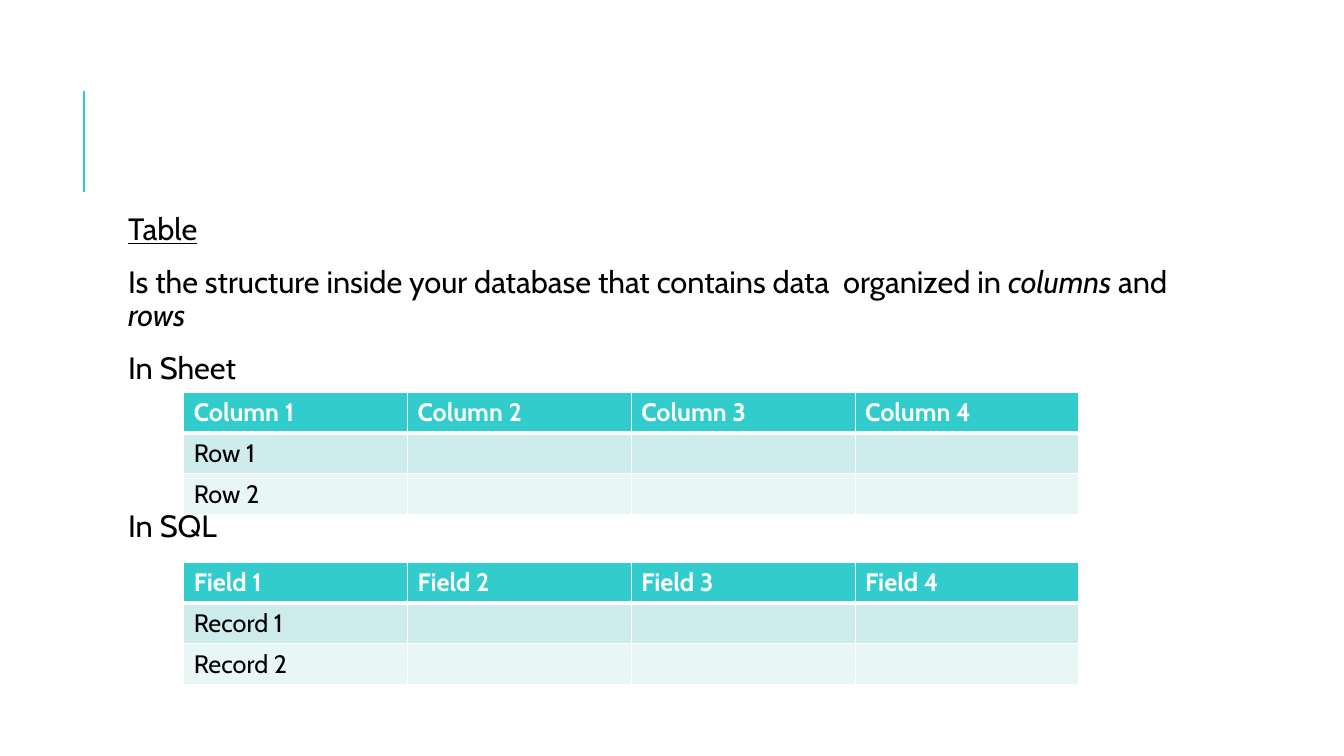
from lxml import etree
from pptx import Presentation
from pptx.dml.color import RGBColor
from pptx.enum.shapes import MSO_CONNECTOR
from pptx.enum.text import MSO_ANCHOR
from pptx.oxml.ns import qn
from pptx.util import Cm, Pt

STRAIGHT = MSO_CONNECTOR.STRAIGHT
TOP = MSO_ANCHOR.TOP

TEAL = RGBColor(0x33, 0xCC, 0xCC)
BAND_DARK = RGBColor(0xCE, 0xEC, 0xEC)
BAND_LIGHT = RGBColor(0xE8, 0xF6, 0xF6)
WHITE = RGBColor(0xFF, 0xFF, 0xFF)
BLACK = RGBColor(0, 0, 0)

# Each paragraph: space before in points, then runs of text with their format
BODY = [
    (12, [("Table", {"underline": True})]),
    (12, [("Is the structure inside your database that contains data  organized in ", {}),
          ("columns", {"italic": True}),
          (" and ", {}),
          ("rows", {"italic": True})]),
    (12, [("In Sheet", {})]),
    (87, [("In SQL", {})]),
]

# Each table: top in cm, column noun, row noun
TABLES = [(9.88, "Column", "Row"), (14.16, "Field", "Record")]


class SlideBuilder:
    font = "Cabin"
    body_size = Pt(22)
    cell_size = Pt(18)
    col_width = Cm(5.64)
    row_height = Cm(1.03)

    def __init__(self, s):
        self.s = s

    def line(self, x1, y1, x2, y2):
        c = self.s.shapes.add_connector(STRAIGHT, Cm(x1), Cm(y1), Cm(x2), Cm(y2))
        c.line.color.rgb = TEAL
        c.line.width = Pt(1.5)
        etree.SubElement(c._element.spPr, qn("a:effectLst"))

    def run(self, p, text, color, **fmt):
        r = p.add_run()
        r.text = text
        r.font.color.rgb = color
        for name, value in {"name": self.font, **fmt}.items():
            setattr(r.font, name, value)

    def text(self, x, y, w, h, paragraphs):
        tf = self.s.shapes.add_textbox(Cm(x), Cm(y), Cm(w), Cm(h)).text_frame
        frame = {"word_wrap": True, "vertical_anchor": TOP,
                 "margin_left": Cm(0.38), "margin_right": Cm(0.13),
                 "margin_top": Cm(0.13), "margin_bottom": Cm(0.13)}
        for name, value in frame.items():
            setattr(tf, name, value)
        for i, (before, runs) in enumerate(paragraphs):
            p = tf.add_paragraph() if i else tf.paragraphs[0]
            spacing = {"line_spacing": 0.9, "space_before": Pt(before), "space_after": Pt(2)}
            for name, value in spacing.items():
                setattr(p, name, value)
            for text, fmt in runs:
                self.run(p, text, BLACK, size=self.body_size, **fmt)

    def borders(self, cell, top, bottom):
        """Give the cell white edges; top and bottom are widths in points."""
        tcPr = cell._tc.get_or_add_tcPr()
        edges = [("a:lnL", 1), ("a:lnR", 1), ("a:lnT", top), ("a:lnB", bottom)]
        for i, (tag, width) in enumerate(edges):
            ln = etree.Element(qn(tag), w=str(Pt(width)))
            fill = etree.SubElement(ln, qn("a:solidFill"))
            etree.SubElement(fill, qn("a:srgbClr"), val=str(WHITE))
            tcPr.insert(i, ln)

    def table(self, x, y, rows):
        n_rows, n_cols = len(rows), len(rows[0])
        table = self.s.shapes.add_table(n_rows, n_cols, Cm(x), Cm(y), self.col_width * n_cols,
                                        self.row_height * n_rows).table
        for i, texts in enumerate(rows):
            header = i == 0
            for j, text in enumerate(texts):
                cell = table.cell(i, j)
                cell.fill.solid()
                cell.fill.fore_color.rgb = (TEAL, BAND_DARK, BAND_LIGHT)[i]
                self.borders(cell, top=3 if i == 1 else 1, bottom=3 if header else 1)
                if text:
                    self.run(cell.text_frame.paragraphs[0], text, WHITE if header else BLACK,
                             size=self.cell_size, bold=header)


def main():
    prs = Presentation()
    prs.slide_width, prs.slide_height = Cm(33.87), Cm(19.05)
    slide = SlideBuilder(prs.slides.add_slide(prs.slide_layouts[6]))
    slide.line(2.12, 4.83, 2.12, 2.29)
    slide.text(2.85, 5.26, 27, 12.27, BODY)
    for top, column, row in TABLES:
        header = [f"{column} {n}" for n in range(1, 5)]
        records = [[f"{row} {n}", "", "", ""] for n in (1, 2)]
        slide.table(4.63, top, [header] + records)
    prs.save("out.pptx")


if __name__ == "__main__":
    main()
